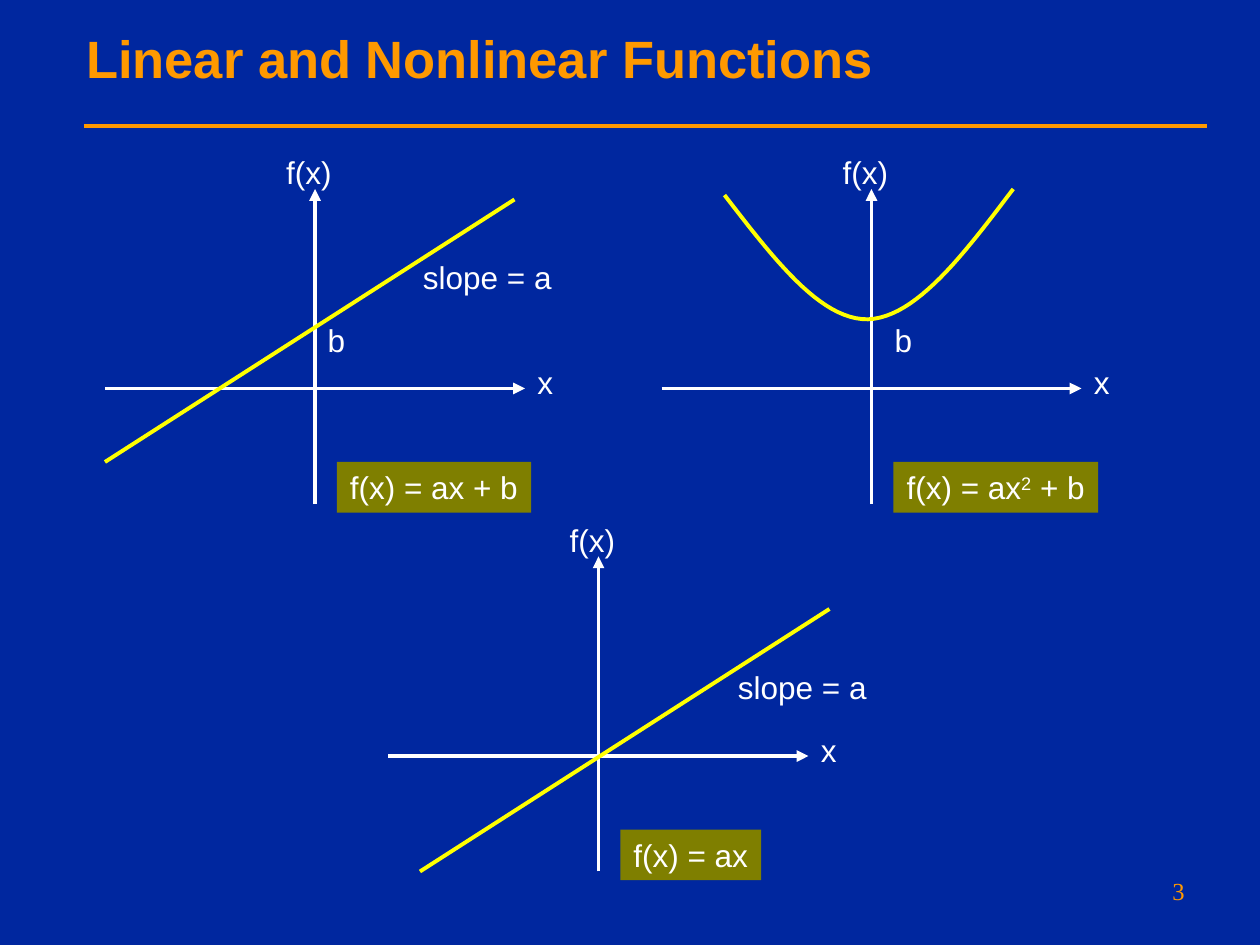
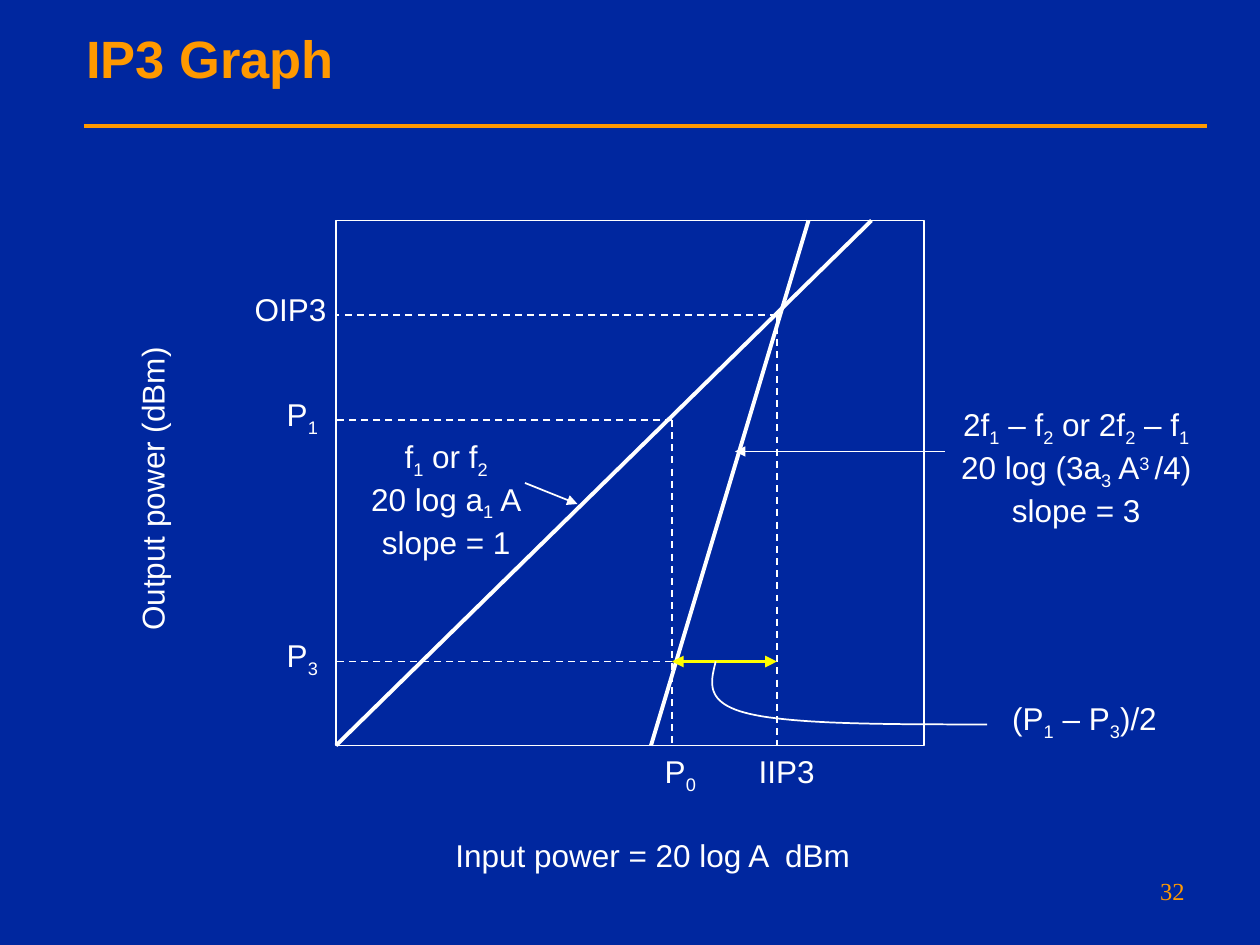
from lxml import etree
from pptx import Presentation
from pptx.dml import color as dml_color
from pptx.enum import dml, shapes, text
from pptx.oxml import ns
from pptx.util import Pt

COLORS = {
    "background": "00279F",
    "accent": "FF9900",
    "ink": "FFFFFF",
    "curve": "FFFF00",
    "formula": "7F7F00",
}
RGB = {name: dml_color.RGBColor.from_string(value) for name, value in COLORS.items()}
TITLE_FONT = {"name": "Arial", "size": Pt(30), "bold": True}
LABEL_FONT = {"name": "Arial", "size": Pt(18)}
NUMBER_FONT = {"name": "Times New Roman", "size": Pt(14)}
BASELINES = {"_": "-25000", "^": "30000"}
THIN, THICK = 1, 2.25


def add_line(slide, start, end, color="ink", width=THICK, dashed=False, arrows=()):
    connector = slide.shapes.add_connector(
        shapes.MSO_CONNECTOR.STRAIGHT, *[Pt(value) for value in (*start, *end)])
    connector.line.color.rgb = RGB[color]
    connector.line.width = Pt(width)
    if dashed:
        connector.line.dash_style = dml.MSO_LINE.DASH
    line_xml = connector.line._get_or_add_ln()
    for arrow in arrows:
        etree.SubElement(line_xml, ns.qn(f"a:{arrow}"), type="triangle")
    etree.SubElement(connector._element.spPr, ns.qn("a:effectLst"))
    return connector


def add_label(slide, box, lines, font=LABEL_FONT, color="ink",
              align=text.PP_ALIGN.CENTER, wrap=False):
    label = slide.shapes.add_textbox(*[Pt(value) for value in box])
    frame = label.text_frame
    frame.word_wrap = wrap
    frame.auto_size = text.MSO_AUTO_SIZE.SHAPE_TO_FIT_TEXT
    for index, line in enumerate(lines.split("\n")):
        paragraph = frame.add_paragraph() if index else frame.paragraphs[0]
        paragraph.alignment = align
        for piece in line.split("|"):
            run = paragraph.add_run()
            run.text = piece.lstrip("_^")
            for name, value in font.items():
                setattr(run.font, name, value)
            run.font.color.rgb = RGB[color]
            if piece[0] in BASELINES:
                run.font._element.set("baseline", BASELINES[piece[0]])
    return label


presentation = Presentation()
presentation.slide_width, presentation.slide_height = Pt(720), Pt(540)
master = presentation.slide_master
master.background.fill.solid()
master.background.fill.fore_color.rgb = RGB["background"]

slides = []
for title_text, number in (("Linear and Nonlinear Functions", "3"), ("IP3 Graph", "32")):
    slide = presentation.slides.add_slide(presentation.slide_layouts[5])
    slides.append(slide)
    title = slide.shapes.title
    title.left, title.top, title.width, title.height = Pt(42), Pt(0), Pt(648), Pt(65.5)
    title.text_frame.text = title_text
    title.text_frame.vertical_anchor = text.MSO_ANCHOR.MIDDLE
    paragraph = title.text_frame.paragraphs[0]
    paragraph.alignment = text.PP_ALIGN.LEFT
    for name, value in TITLE_FONT.items():
        setattr(paragraph.font, name, value)
    paragraph.font.color.rgb = RGB["accent"]
    add_label(slide, (558, 497, 126, 31), number, NUMBER_FONT, "accent",
              text.PP_ALIGN.RIGHT, wrap=True)

functions_slide, ip3_slide = slides
title_rule = add_line(functions_slide, (48, 72), (690, 72), "accent")
master.shapes._spTree.append(title_rule._element)

graphs = [
    {"origin": (180, 222), "formula": "f(x) = ax + b", "width": 111,
     "line_shift": (0, 0), "intercept": 0},
    {"origin": (498, 222), "formula": "f(x) = ax|^2| + b", "width": 117,
     "line_shift": None, "intercept": 6},
    {"origin": (342, 432), "formula": "f(x) = ax", "width": 80.5,
     "line_shift": (18, 24), "intercept": None},
]
for graph in graphs:
    x, y = graph["origin"]
    add_line(functions_slide, (x - 120, y), (x + 120, y), arrows=["tailEnd"])
    add_line(functions_slide, (x, y + 66), (x, y - 114), arrows=["tailEnd"])
    add_label(functions_slide, (x + 120, y - 18, 23, 29), "x")
    add_label(functions_slide, (x - 25, y - 138, 43, 29), "f(x)")
    if graph["line_shift"]:
        line_x, line_y = x + graph["line_shift"][0], y + graph["line_shift"][1]
        add_line(functions_slide, (line_x - 120, line_y + 42),
                 (line_x + 114, line_y - 108), "curve")
        add_label(functions_slide, (line_x + 53.5, line_y - 78, 90, 29), "slope = a")
    if graph["intercept"] is not None:
        add_label(functions_slide, (x + graph["intercept"], y - 42, 24.5, 29), "b")
    formula = add_label(functions_slide, (x + 12.5, y + 42, graph["width"], 29),
                        graph["formula"])
    formula.fill.solid()
    formula.fill.fore_color.rgb = RGB["formula"]

left, top, bottom = 192, 126, 426
p0_x, iip3_x = 384, 444
oip3_y, p1_y, p3_y = 180, 240, 378
plot = ip3_slide.shapes.add_shape(
    shapes.MSO_SHAPE.RECTANGLE, Pt(left), Pt(top), Pt(336), Pt(bottom - top))
plot.shadow.inherit = False
plot.fill.background()
plot.line.color.rgb = RGB["ink"]
plot.line.width = Pt(THIN)

add_line(ip3_slide, (left, bottom), (498, top))
add_line(ip3_slide, (462, top), (372, bottom))
for start, end in (
    ((iip3_x, oip3_y), (iip3_x, bottom)),
    ((p0_x, p1_y), (p0_x, bottom)),
    ((iip3_x, oip3_y), (left, oip3_y)),
    ((p0_x, p1_y), (left, p1_y)),
    ((p0_x, p3_y), (left, p3_y)),
):
    add_line(ip3_slide, start, end, width=THIN, dashed=True)
add_line(ip3_slide, (p0_x, p3_y), (iip3_x, p3_y), "curve", arrows=["headEnd", "tailEnd"])
for start, end in (((300, 276), (330, 288)), ((540, 258), (420, 258))):
    add_line(ip3_slide, start, end, width=THIN, arrows=["tailEnd"])

for box, lines in (
    ((203.5, 246, 103, 78), "f|_1| or f|_2\n20 log a|_1| A\nslope = 1"),
    ((528, 228, 174, 78),
     "2f|_1| – f|_2| or 2f|_2| – f|_1\n20 log (3a|_3| A|^3 |/4)\nslope = 3"),
    ((251, 474, 244, 29), "Input power = 20 log A  dBm"),
    ((137, oip3_y - 18, 58, 29), "OIP3"),
    ((155.5, p1_y - 18, 34.5, 32), "P|_1"),
    ((155.5, p3_y - 18, 34.5, 32), "P|_3"),
    ((371.5, bottom, 34.5, 32), "P|_0"),
    ((425, bottom, 49, 29), "IIP3"),
    ((570, 396, 99.5, 32), "(P|_1| – P|_3|)/2"),
):
    add_label(ip3_slide, box, lines)
add_label(ip3_slide, (-3, 265, 180, 29), "Output power (dBm)").rotation = 270

curves = [
    (functions_slide, "curve", THICK,
     [(414, 111.5), (441.5, 147), (468.5, 183), (496, 182.5),
      (523.5, 181.5), (551, 145), (579, 108)]),
    (ip3_slide, "ink", THIN,
     [(564, 414), (509, 414), (454.5, 414), (428.5, 408),
      (402.5, 402), (406, 390), (409, 378)]),
]
STEPS = 24
UNITS_PER_POINT = 100
for slide, color, width, points in curves:
    outline = []
    for first in (0, 3):
        controls = points[first:first + 4]
        for step in range(STEPS + 1):
            t = step / STEPS
            weights = ((1 - t) ** 3, 3 * t * (1 - t) ** 2, 3 * t * t * (1 - t), t ** 3)
            outline.append(tuple(
                UNITS_PER_POINT * sum(
                    weight * point[axis] for weight, point in zip(weights, controls))
                for axis in (0, 1)))
    builder = slide.shapes.build_freeform(*outline[0], scale=Pt(1) / UNITS_PER_POINT)
    builder.add_line_segments(outline[1:], close=False)
    curve = builder.convert_to_shape()
    curve.shadow.inherit = False
    curve.fill.background()
    curve.line.color.rgb = RGB[color]
    curve.line.width = Pt(width)

presentation.save("out.pptx")
